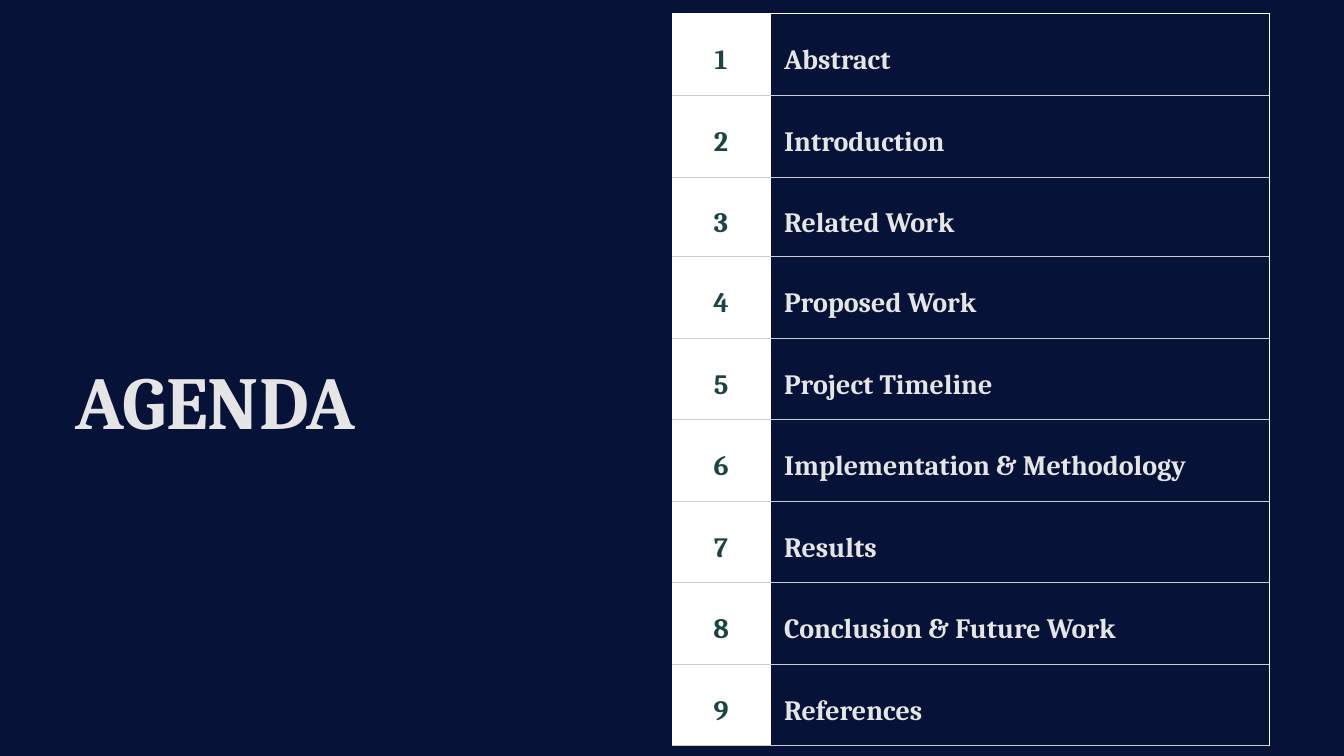
from pptx import Presentation
from pptx.dml.color import RGBColor
from pptx.enum.text import MSO_ANCHOR, MSO_AUTO_SIZE, PP_ALIGN
from pptx.oxml.ns import qn
from pptx.util import Cm, Pt
from lxml.etree import SubElement

NAVY = RGBColor(0x06, 0x12, 0x37)
WHITE = RGBColor(0xFF, 0xFF, 0xFF)
LIGHT = RGBColor(0xE5, 0xE5, 0xE5)
GREEN = RGBColor(0x1B, 0x44, 0x44)
RULE = RGBColor(0xCC, 0xCC, 0xCC)
FONT = "Cambria"

TOPICS = [
    "Abstract",
    "Introduction",
    "Related Work",
    "Proposed Work",
    "Project Timeline",
    "Implementation & Methodology",
    "Results",
    "Conclusion & Future Work",
    "References",
]
COLUMN_WIDTHS = [Cm(3.71), Cm(18.85)]
ROW_HEIGHTS = [Cm(3.1)] * 2 + [Cm(3)] + [Cm(3.08)] * 6
CELL_MARGIN = Cm(0.53)


def format_paragraph(paragraph, size, color, line_spacing, alignment):
    paragraph.alignment = alignment
    paragraph.line_spacing = line_spacing
    font = paragraph.runs[0].font
    font.name = FONT
    font.size = Pt(size)
    font.bold = True
    font.color.rgb = color


def add_title(slide, title):
    box = slide.shapes.add_textbox(Cm(2.84), Cm(11.23), Cm(16.59), Cm(4.75))
    frame = box.text_frame
    frame.word_wrap = True
    frame.auto_size = MSO_AUTO_SIZE.SHAPE_TO_FIT_TEXT
    frame.margin_left = frame.margin_right = 0
    frame.margin_top = frame.margin_bottom = 0
    frame.text = title
    format_paragraph(frame.paragraphs[0], 80, LIGHT, 1.64, PP_ALIGN.LEFT)


def set_borders(cell, top_color):
    """Draw white sides, a grey bottom rule and a top rule of the given colour."""
    properties = cell._tc.get_or_add_tcPr()
    sides = {"a:lnL": WHITE, "a:lnR": WHITE, "a:lnT": top_color, "a:lnB": RULE}
    for tag, color in sides.items():
        line = SubElement(properties, qn(tag), w=str(Pt(0.75)))
        fill = SubElement(line, qn("a:solidFill"))
        SubElement(fill, qn("a:srgbClr"), val=str(color))


def fill_cell(cell, text, color, alignment):
    cell.text = text
    cell.vertical_anchor = MSO_ANCHOR.MIDDLE
    cell.margin_left = cell.margin_right = CELL_MARGIN
    cell.margin_top = cell.margin_bottom = CELL_MARGIN
    format_paragraph(cell.text_frame.paragraphs[0], 30, color, 1.4, alignment)


def add_agenda(slide, topics):
    agenda = slide.shapes.add_table(
        len(topics), len(COLUMN_WIDTHS), Cm(25.4), Cm(0.5),
        sum(COLUMN_WIDTHS), sum(ROW_HEIGHTS),
    ).table
    agenda.first_row = False
    agenda.horz_banding = False
    for column, width in zip(agenda.columns, COLUMN_WIDTHS):
        column.width = width
    for index, (topic, height) in enumerate(zip(topics, ROW_HEIGHTS)):
        row = agenda.rows[index]
        row.height = height
        number_cell, topic_cell = row.cells
        for cell in (number_cell, topic_cell):
            set_borders(cell, WHITE if index == 0 else RULE)
        fill_cell(number_cell, str(index + 1), GREEN, PP_ALIGN.CENTER)
        fill_cell(topic_cell, topic, LIGHT, PP_ALIGN.JUSTIFY)
        number_cell.fill.solid()
        number_cell.fill.fore_color.rgb = WHITE
        topic_cell.fill.background()


def main():
    presentation = Presentation()
    presentation.slide_width = Cm(50.8)
    presentation.slide_height = Cm(28.58)
    slide = presentation.slides.add_slide(presentation.slide_layouts[6])
    background = slide.background.fill
    background.solid()
    background.fore_color.rgb = NAVY
    add_agenda(slide, TOPICS)
    add_title(slide, "AGENDA")
    presentation.save("out.pptx")


if __name__ == "__main__":
    main()
